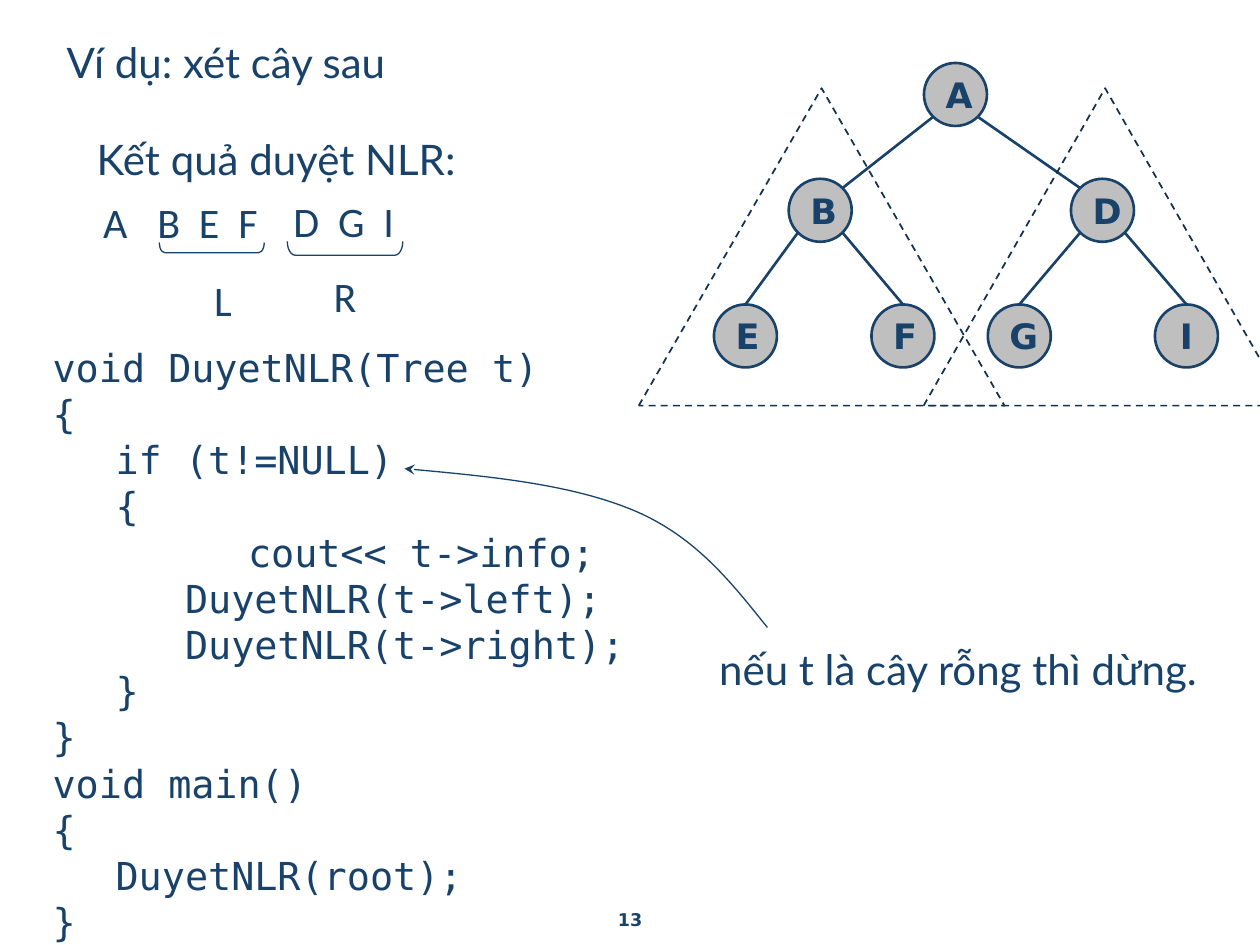
from dataclasses import dataclass
from math import sqrt

from lxml import etree
from pptx import Presentation
from pptx.dml.color import RGBColor
from pptx.enum.dml import MSO_LINE
from pptx.enum.shapes import MSO_CONNECTOR, MSO_SHAPE
from pptx.enum.text import MSO_ANCHOR, PP_ALIGN
from pptx.oxml.ns import qn
from pptx.util import Pt

STRAIGHT = MSO_CONNECTOR.STRAIGHT
ELLIPSE, TRIANGLE, BRACKET = (
    MSO_SHAPE.OVAL, MSO_SHAPE.ISOSCELES_TRIANGLE, MSO_SHAPE.LEFT_BRACKET)
DASH = MSO_LINE.DASH
LEFT, CENTER = PP_ALIGN.LEFT, PP_ALIGN.CENTER
MIDDLE = MSO_ANCHOR.MIDDLE


@dataclass(frozen=True)
class Theme:
    ink: RGBColor = RGBColor(0x19, 0x42, 0x6B)
    outline: RGBColor = RGBColor(0x13, 0x31, 0x50)
    node: RGBColor = RGBColor(0xBF, 0xBF, 0xBF)
    body_font: str = "Lato"
    letter_font: str = "Calibri"
    code_font: str = "DejaVu Sans Mono"
    label_font: str = "DejaVu Sans"
    body_size: float = 24
    code_size: float = 22
    node_size: float = 20
    number_size: float = 10


class Painter:
    def __init__(self, page, theme):
        self.page = page
        self.theme = theme

    def fill_text(self, frame, text, font, size, bold=False, align=LEFT, spacing=None):
        frame.word_wrap = True
        frame.text = text
        for para in frame.paragraphs:
            para.alignment = align
            if spacing:
                para.line_spacing = spacing
            for span in para.runs:
                span.font.name = font
                span.font.size = Pt(size)
                span.font.bold = bold
                span.font.color.rgb = self.theme.ink

    def text(self, left, top, width, height, text, font, size, **style):
        box = self.page.shapes.add_textbox(Pt(left), Pt(top), Pt(width), Pt(height))
        self.fill_text(box.text_frame, text, font, size, **style)
        return box

    def body(self, left, top, width, text, font=None):
        return self.text(left, top, width, 37, text, font or self.theme.body_font,
                         self.theme.body_size, spacing=1.1)

    def letters(self, left, top, width, text):
        box = self.body(left, top, width, text, self.theme.letter_font)
        # Widen the gaps by letter spacing, in hundredths of a point
        if " " in text:
            for span in box.text_frame.paragraphs[0].runs:
                span.font._element.set("spc", "270")

    def shape(self, kind, left, top, width, height, weight, color=None, fill=None):
        shape = self.page.shapes.add_shape(
            kind, Pt(left), Pt(top), Pt(width), Pt(height))
        shape.shadow.inherit = False
        if fill is None:
            shape.fill.background()
        else:
            shape.fill.solid()
            shape.fill.fore_color.rgb = fill
        shape.line.color.rgb = color or self.theme.ink
        shape.line.width = Pt(weight)
        return shape

    def node(self, label, center, diameter):
        x, y = center
        circle = self.shape(ELLIPSE, x - diameter / 2, y - diameter / 2,
                            diameter, diameter, 1.5, fill=self.theme.node)
        circle.text_frame.vertical_anchor = MIDDLE
        self.fill_text(circle.text_frame, label, self.theme.label_font,
                       self.theme.node_size, bold=True, align=CENTER)

    def subtree(self, left, top, width, height):
        triangle = self.shape(TRIANGLE, left, top, width, height, 1,
                              self.theme.outline)
        triangle.line.dash_style = DASH

    def bracket(self, left, top, width, height):
        # A left bracket turned about its centre so that it opens upwards
        bracket = self.shape(BRACKET, left + (width - height) / 2,
                             top + (height - width) / 2, height, width, 0.75)
        bracket.rotation = 270
        bracket.adjustments[0] = 0.565

    def edge(self, start, end):
        line = self.page.shapes.add_connector(
            STRAIGHT, *(Pt(value) for value in (*start, *end)))
        line.line.color.rgb = self.theme.ink
        line.line.width = Pt(1.5)
        etree.SubElement(line._element.spPr, qn("a:effectLst"))

    def curved_arrow(self, start, *points):
        builder = self.page.shapes.build_freeform(Pt(start[0]), Pt(start[1]))
        builder.add_line_segments([(Pt(x), Pt(y)) for x, y in points], close=False)
        curve = builder.convert_to_shape()
        curve.shadow.inherit = False
        curve.fill.background()
        curve.line.color.rgb = self.theme.ink
        curve.line.width = Pt(0.75)
        # Every three points make one Bézier segment
        steps = list(curve._element.iter(qn("a:lnTo")))
        outline = steps[0].getparent()
        for first in range(0, len(steps), 3):
            segment = etree.SubElement(outline, qn("a:cubicBezTo"))
            for step in steps[first:first + 3]:
                segment.append(step[0])
                outline.remove(step)
        line = curve._element.spPr.find(qn("a:ln"))
        etree.SubElement(line, qn("a:tailEnd"), type="stealth")


CODE = """void DuyetNLR(Tree t)
{
\tif (t!=NULL)
\t{
   \t   cout<< t->info;
\t   DuyetNLR(t->left);
\t   DuyetNLR(t->right);
\t}
}
void main()
{
\tDuyetNLR(root);
}"""

DIAMETER = 36
NODES = {"A": (546, 54), "B": (468.7, 120.2), "D": (630, 120.2), "E": (426, 192),
         "F": (516, 192), "G": (582.5, 192), "I": (678, 192)}
CHILDREN = {"A": "BD", "B": "EF", "D": "GI"}


def draw_tree(painter):
    corner = DIAMETER / 2 / sqrt(2)
    for parent, children in CHILDREN.items():
        x, y = NODES[parent]
        for child, side in zip(children, (-1, 1)):
            child_x, child_y = NODES[child]
            if child in CHILDREN:
                end = (child_x - side * corner, child_y - corner)
            else:
                end = (child_x, child_y - DIAMETER / 2)
            painter.edge((x + side * corner, y + corner), end)
    for label, center in NODES.items():
        painter.node(label, center, DIAMETER)
    for left, width in ((365, 209), (527.8, 207.4)):
        painter.subtree(left, 50.4, width, 181.4)


def main():
    deck = Presentation()
    deck.slide_width, deck.slide_height = Pt(720), Pt(540)
    theme = Theme()
    painter = Painter(deck.slides.add_slide(deck.slide_layouts[6]), theme)

    # Headings and code
    painter.body(31, 14.4, 330, "Ví dụ: xét cây sau")
    painter.body(48.2, 69.8, 312, "Kết quả duyệt NLR:")
    painter.text(23, 193, 419, 324, CODE, theme.code_font, theme.code_size)

    # Tree with its two subtrees
    draw_tree(painter)

    # Visiting order, grouped by subtree
    painter.letters(51.8, 105.8, 37, "A")
    painter.letters(82.8, 105.8, 82, "B E F")
    painter.letters(160.6, 105.1, 82, "D G I")
    painter.bracket(91, 138.6, 60, 5.8)
    painter.bracket(164.2, 137.9, 66, 7.9)
    painter.letters(115.2, 150.5, 37, "L")
    painter.letters(183.6, 148.3, 37, "R")

    # Note on the stopping condition
    painter.body(403.9, 361.4, 302.4, "nếu t là cây rỗng thì dừng.")
    painter.curved_arrow((438.5, 358.6), (418.3, 333.4), (398.2, 307.4),
                         (363.6, 292.3), (328.3, 277.2), (280.1, 272.2),
                         (231.1, 267.8))

    # Page number
    painter.text(276, 516.2, 168, 18.7, "13", theme.label_font,
                 theme.number_size, bold=True, align=CENTER)

    deck.save("out.pptx")


if __name__ == "__main__":
    main()
